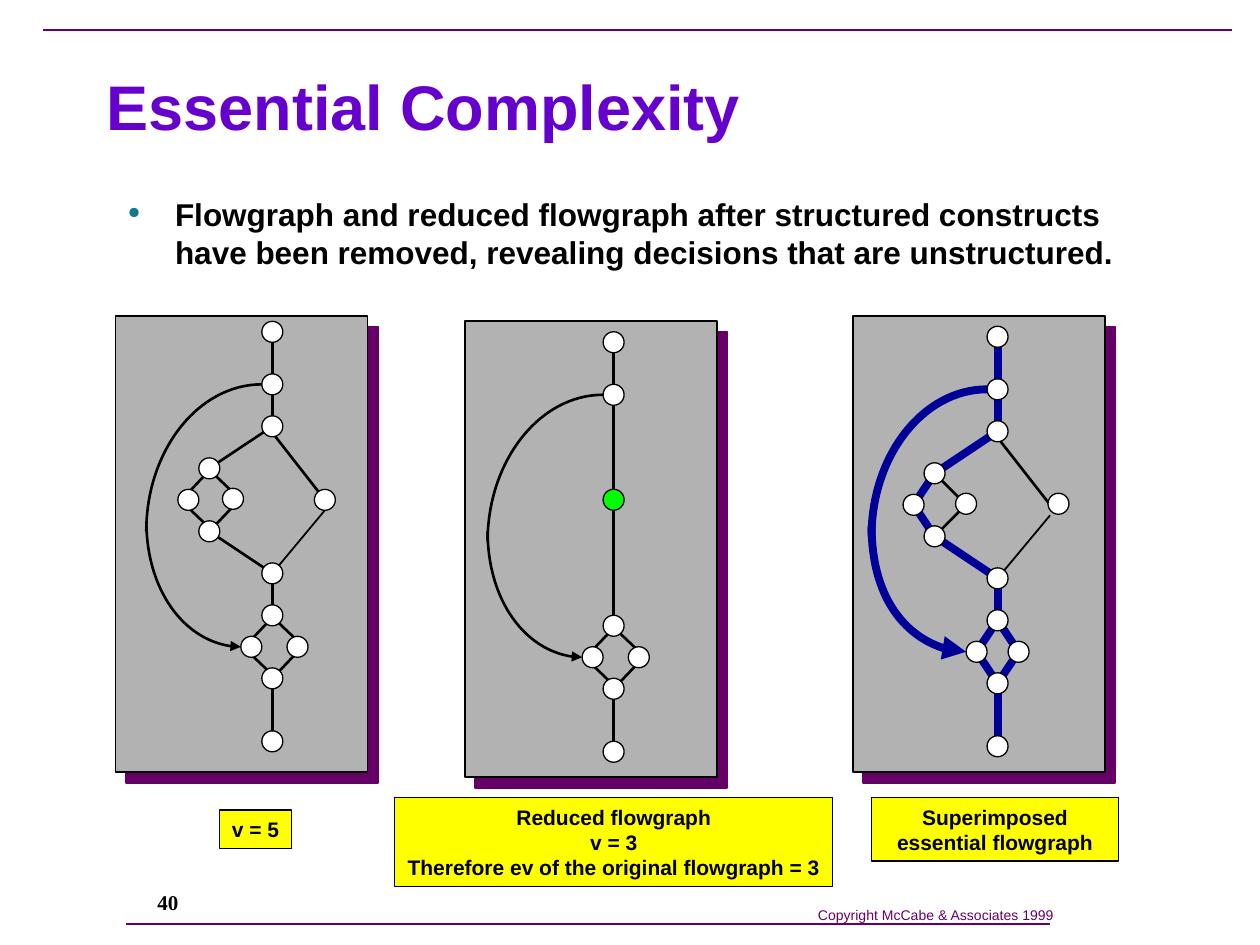
from dataclasses import dataclass

import pptx
import pptx.dml.color
import pptx.enum.shapes
import pptx.enum.text
import pptx.oxml
import pptx.oxml.ns
import pptx.util
from pptx.util import Cm

GRID = 2.54 / 12
ALIGN = pptx.enum.text.PP_ALIGN
ANCHOR = pptx.enum.text.MSO_ANCHOR
SHAPE = pptx.enum.shapes.MSO_SHAPE
BLACK, BLUE, PURPLE = "000000", "000099", "660066"
qn = pptx.oxml.ns.qn

Point = tuple[float, float]


@dataclass
class Edges:
    points: list[Point]
    color: str = BLACK
    weight: float = 1.5


@dataclass
class Flowgraph:
    panel: Point
    entry: Point
    edges: list[Edges]
    nodes: list[Point]
    diamonds: list[Point]
    loop: Edges
    reduced_nodes: list[Point]


@dataclass
class Label:
    text: str
    box: tuple[float, float, float, float]
    wrap: bool = False


def rgb(color: str) -> pptx.dml.color.RGBColor:
    """Turn a hex string into a colour."""
    return pptx.dml.color.RGBColor.from_string(color)


def add_element(parent, tag: str, **attributes: str):
    """Append a drawing element with the given attributes."""
    element = pptx.oxml.parse_xml(f'<{tag} {pptx.oxml.ns.nsdecls("a")}/>')
    for name, value in attributes.items():
        element.set(name, value)
    parent.append(element)
    return element


def write_text(shape, text: str, *, size: float, color: str = BLACK, font: str = "Arial",
               bold: bool = True, align=ALIGN.CENTER, anchor=ANCHOR.MIDDLE,
               wrap: bool = False, bullet: str = "") -> None:
    """Write the lines of a text into a shape in one format."""
    frame = shape.text_frame
    frame.text = text
    frame.word_wrap = wrap
    frame.vertical_anchor = anchor
    frame.margin_left = frame.margin_right = Cm(0.25)
    frame.margin_top = frame.margin_bottom = Cm(0.13)
    for paragraph in frame.paragraphs:
        paragraph.alignment = align
        if bullet:
            properties = paragraph._p.get_or_add_pPr()
            properties.set("marL", str(Cm(0.95)))
            properties.set("indent", str(-Cm(0.95)))
            add_element(add_element(properties, "a:buClr"), "a:srgbClr", val="137991")
            add_element(properties, "a:buSzPct", val="50000")
            add_element(properties, "a:buChar", char=bullet)
        paragraph.font.size = pptx.util.Pt(size)
        paragraph.font.name = font
        paragraph.font.bold = bold
        paragraph.font.color.rgb = rgb(color)


def style(shape, fill: str | None, line: str, weight: float) -> None:
    """Set fill and line and switch the shadow off."""
    shape.shadow.inherit = False
    if fill:
        shape.fill.solid()
        shape.fill.fore_color.rgb = rgb(fill)
    else:
        shape.fill.background()
    shape.line.color.rgb = rgb(line)
    shape.line.width = pptx.util.Pt(weight)


def add_line(shapes, start: Point, end: Point, color: str, weight: float) -> None:
    """Draw a straight line between two points in centimetres."""
    connector = shapes.add_connector(
        pptx.enum.shapes.MSO_CONNECTOR.STRAIGHT, *map(Cm, start), *map(Cm, end))
    connector.line.color.rgb = rgb(color)
    connector.line.width = pptx.util.Pt(weight)
    add_element(connector._element.spPr, "a:effectLst")


def add_quarter(shapes, start: Point, end: Point, color: str, weight: float,
                arrow: bool = False) -> None:
    """Draw a quarter ellipse that leaves horizontally and arrives vertically."""
    bend = 0.55
    curve = [(start[0] + bend * (end[0] - start[0]), start[1]),
             (end[0], end[1] + bend * (start[1] - end[1])), end]
    builder = shapes.build_freeform(*map(Cm, start))
    builder.add_line_segments([(Cm(x), Cm(y)) for x, y in curve], close=False)
    shape = builder.convert_to_shape()
    style(shape, None, color, weight)
    outline = next(shape._element.iter(qn("a:path")))
    bezier = add_element(outline, "a:cubicBezTo")
    for segment in outline.findall(qn("a:lnTo")):
        bezier.append(segment[0])
        outline.remove(segment)
    if arrow:
        add_element(shape.line._get_or_add_ln(), "a:headEnd", type="triangle")


def add_panel(shapes, left: float, top: float) -> None:
    """Draw a grey panel with a hard purple shadow."""
    panel = shapes.add_shape(SHAPE.RECTANGLE, Cm(left), Cm(top), Cm(5.08), Cm(9.2))
    style(panel, "B2B2B2", BLACK, 1)
    effects = panel._element.spPr.find(qn("a:effectLst"))
    shadow = add_element(effects, "a:outerShdw", dist=str(pptx.util.Pt(8.5)),
                         dir="2700000", algn="ctr", rotWithShape="0")
    add_element(shadow, "a:srgbClr", val=PURPLE)


def draw_flowgraph(shapes, graph: Flowgraph) -> None:
    """Draw a panel with edges, nodes and the backward loop."""
    def place(point: Point) -> Point:
        return graph.entry[0] + point[0] * GRID, graph.entry[1] + point[1] * GRID

    def add_centered(kind, point: Point, size: float, fill: str | None, weight: float):
        x, y = place(point)
        shape = shapes.add_shape(kind, Cm(x - size / 2), Cm(y - size / 2), Cm(size), Cm(size))
        style(shape, fill, BLACK, weight)
        return shape

    add_panel(shapes, *graph.panel)
    for run in graph.edges:
        for start, end in zip(run.points, run.points[1:]):
            add_line(shapes, place(start), place(end), run.color, run.weight)
    for center in graph.diamonds:
        add_centered(SHAPE.RECTANGLE, center, 4 * GRID, None, 1.5).rotation = 43.6
    for nodes, fill in ((graph.nodes, "FFFFFF"), (graph.reduced_nodes, "00FF00")):
        for center in nodes:
            add_centered(SHAPE.OVAL, center, 2 * GRID, fill, 0.75)
    color, weight = graph.loop.color, graph.loop.weight
    add_quarter(shapes, place((-1, 5)), place((-12, 19)), color, weight)
    add_quarter(shapes, place((-3, 30)), place((-12, 18)), color, weight, arrow=True)


ENDS = [(0, 0), (0, 5), (0, 27), (-2, 30), (0, 33), (0, 39)]
BRANCH = [(0, 9), (-6, 13), (-8, 16), (-6, 19), (0, 23)]
RIGHT_DOWN, RIGHT_BACK = [(0, 9.6), (5, 16)], [(5, 17), (0, 23)]
EXIT = Edges([(0, 34), (0, 38)])

FLOWGRAPHS = [
    Flowgraph((2.33, 6.37), (5.49, 6.69),
              [Edges([(0, 0), (0, 9), (-6, 13)]), Edges(RIGHT_DOWN),
               Edges([(-6, 19), (0, 23), (0, 27)]), Edges(RIGHT_BACK, weight=1), EXIT],
              ENDS + BRANCH + [(-3.75, 15.9), (5, 16), (2.4, 30)],
              [(-5.9, 16), (0.1, 30)], Edges([]), []),
    Flowgraph((9.37, 6.47), (12.37, 6.9),
              [Edges([(0, 0), (0, 15)]), Edges([(0, 16), (0, 27)]), EXIT],
              ENDS + [(2.4, 30)], [(0.1, 30)], Edges([]), [(0, 15)]),
    Flowgraph((17.19, 6.37), (20.11, 6.79),
              [Edges([(-6, 13), (-3, 16), (-6, 19)]), Edges(RIGHT_DOWN),
               Edges(RIGHT_BACK, weight=1),
               Edges([(0, 0), *BRANCH, (0, 27), (-2, 30), (0, 33), (0, 38)], BLUE, 4.5),
               Edges([(0, 27), (2, 30), (0, 33)], BLUE, 4.5)],
              ENDS + BRANCH + [(-3, 15.9), (5.8, 15.9), (2, 30)],
              [], Edges([], BLUE, 4.5), []),
]

LABELS = [
    Label("v = 5", (4.42, 16.33, 1.46, 0.77)),
    Label("Reduced flowgraph\nv = 3\nTherefore ev of the original flowgraph = 3",
          (7.96, 16.08, 8.83, 1.79)),
    Label("Superimposed\nessential flowgraph", (17.57, 16.08, 4.98, 1.28), wrap=True),
]


def main() -> None:
    """Build the slide and save it."""
    presentation = pptx.Presentation()
    presentation.slide_width, presentation.slide_height = Cm(25.4), Cm(19.05)
    slide = presentation.slides.add_slide(presentation.slide_layouts[5])
    shapes = slide.shapes

    def add_text_box(text: str, box: tuple[float, float, float, float], **text_format) -> None:
        write_text(shapes.add_textbox(*map(Cm, box)), text, **text_format)

    add_line(shapes, (0.86, 0.6), (24.84, 0.6), PURPLE, 1)
    add_line(shapes, (2.54, 18.62), (21.17, 18.62), PURPLE, 1)
    add_text_box("Copyright McCabe & Associates 1999", (16.23, 18.14, 5.28, 0.58),
                 size=8, color=PURPLE, bold=False, anchor=ANCHOR.TOP)
    add_text_box("40", (2.18, 17.81, 2.41, 0.76), size=12, font="Times New Roman")

    title = shapes.title
    title.left, title.top, title.width, title.height = map(Cm, (1.9, 0.85, 21.59, 2.54))
    write_text(title, "Essential Complexity", size=36, color="6600CC",
               align=ALIGN.LEFT, wrap=True)
    add_text_box("Flowgraph and reduced flowgraph after structured constructs have been "
                 "removed, revealing decisions that are unstructured.",
                 (2.33, 3.81, 21.59, 11.43), size=18, align=ALIGN.LEFT,
                 anchor=ANCHOR.TOP, wrap=True, bullet="●")

    for graph in FLOWGRAPHS:
        draw_flowgraph(shapes.add_group_shape().shapes, graph)
    for label in LABELS:
        shape = shapes.add_shape(SHAPE.RECTANGLE, *map(Cm, label.box))
        style(shape, "FFFF00", BLACK, 0.75)
        write_text(shape, label.text, size=12, wrap=label.wrap)
    presentation.save("out.pptx")


if __name__ == "__main__":
    main()
